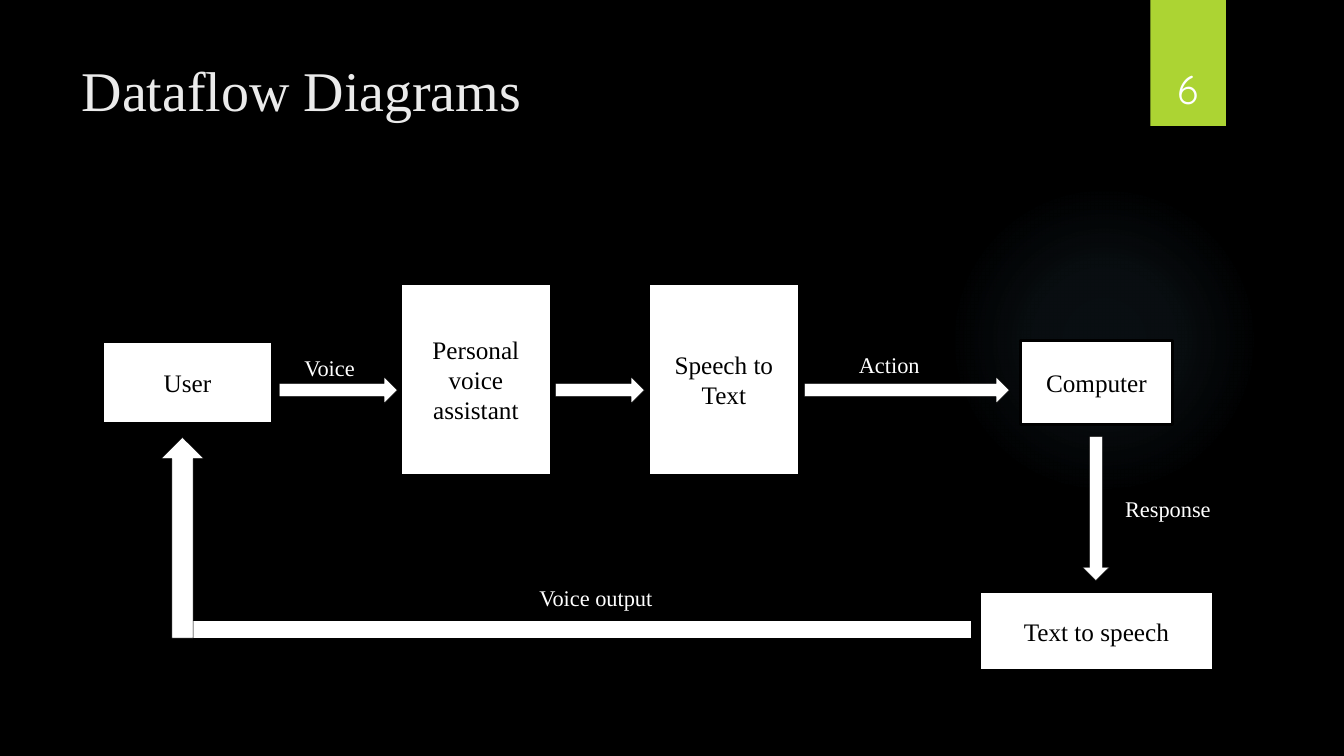
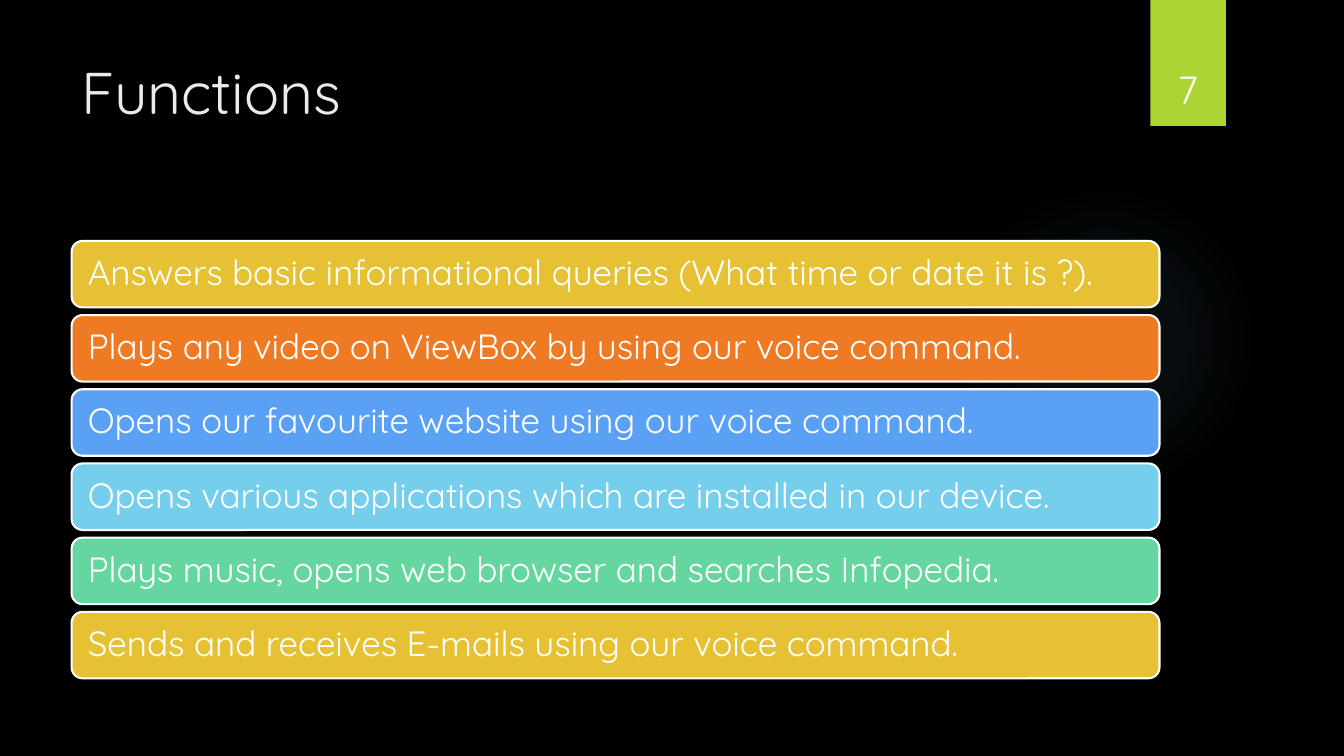
from lxml.etree import SubElement
from pptx import Presentation
from pptx.dml.color import RGBColor
from pptx.enum.shapes import MSO_SHAPE
from pptx.enum.text import MSO_ANCHOR, MSO_AUTO_SIZE, PP_ALIGN
from pptx.oxml.ns import qn
from pptx.util import Inches, Pt

COLORS = {
    "black": "000000", "white": "FFFFFF", "title": "EBEBEB", "band": "ACD433",
    "glow": "7AC4F0", "gold": "E6C133", "orange": "EF7A24", "blue": "5AA0F5",
    "sky": "75CEEC", "green": "65D6A0",
}
SERIF = "Times New Roman"
SANS = "Quicksand"
GLOW_STOPS = ((0, 7), (36, 6), (69, 0), (100, 0))  # position %, opacity %


def color(name):
    return RGBColor.from_string(COLORS[name])


class Deck:
    def __init__(self):
        self.prs = Presentation()
        self.prs.slide_width, self.prs.slide_height = Inches(13.33), Inches(7.5)
        background = self.prs.slide_master.background.fill
        background.solid()
        background.fore_color.rgb = color("black")
        self.slide = None

    def start_slide(self, title, number, font, size, height):
        self.slide = self.prs.slides.add_slide(self.prs.slide_layouts[5])
        self.glow(9.41, 1.83, 3.08)
        self.shape(MSO_SHAPE.RECTANGLE, (11.41, 0, 0.75, 1.25), "band")
        heading = self.slide.shapes.title
        place = {"left": 0.71, "top": 0.5, "width": 10.29, "height": height}
        for attribute, value in place.items():
            setattr(heading, attribute, Inches(value))
        self.set_text(heading, title, font, size, "title", anchor=MSO_ANCHOR.TOP)
        self.text((11.32, 0.32, 0.92, 0.84), str(number), SANS, 28,
                  align=PP_ALIGN.CENTER, anchor=MSO_ANCHOR.BOTTOM)

    def set_text(self, target, text, font, size, ink, align=PP_ALIGN.LEFT,
                 anchor=MSO_ANCHOR.MIDDLE, spacing=1.0, margin=0.1):
        frame = target.text_frame
        frame.text = text
        paragraph = frame.paragraphs[0]
        formats = (
            (frame, {"word_wrap": True, "auto_size": MSO_AUTO_SIZE.NONE,
                     "vertical_anchor": anchor, "margin_left": Inches(margin)}),
            (paragraph, {"alignment": align, "line_spacing": spacing}),
            (paragraph.runs[0].font, {"name": font, "size": Pt(size)}),
        )
        for item, values in formats:
            for attribute, value in values.items():
                setattr(item, attribute, value)
        paragraph.runs[0].font.color.rgb = color(ink)

    def shape(self, kind, place, fill, line=None, weight=0.25):
        shape = self.slide.shapes.add_shape(kind, *map(Inches, place))
        shape.shadow.inherit = False
        shape.fill.solid()
        shape.fill.fore_color.rgb = color(fill)
        if line:
            shape.line.color.rgb = color(line)
            shape.line.width = Pt(weight)
        else:
            shape.line.fill.background()
        return shape

    def glow(self, left, top, diameter):
        """Draw a circle whose faint colour fades out from its centre."""
        circle = self.shape(MSO_SHAPE.OVAL, (left, top, diameter, diameter), "glow")
        properties = circle.element.spPr
        solid = properties.find(qn("a:solidFill"))
        gradient = SubElement(properties, qn("a:gradFill"), rotWithShape="1")
        properties.replace(solid, gradient)
        stops = SubElement(gradient, qn("a:gsLst"))
        for position, opacity in GLOW_STOPS:
            stop = SubElement(stops, qn("a:gs"), pos=str(position * 1000))
            tint = SubElement(stop, qn("a:srgbClr"), val=COLORS["glow"])
            SubElement(tint, qn("a:alpha"), val=str(opacity * 1000))
        radial = SubElement(gradient, qn("a:path"), {"path": "circle"})
        SubElement(radial, qn("a:fillToRect"), dict.fromkeys("ltrb", "50000"))

    def text(self, place, text, font, size, **layout):
        box = self.slide.shapes.add_textbox(*map(Inches, place))
        self.set_text(box, text, font, size, "white", **layout)

    def process(self, place, text, border=2.25):
        box = self.shape(MSO_SHAPE.RECTANGLE, place, "white", "black", border)
        self.set_text(box, text, SERIF, 18, "black", align=PP_ALIGN.CENTER)

    def flow(self, kind, place):
        self.shape(kind, place, "white", "black")

    def flow_label(self, left, top, width, text):
        self.text((left, top, width, 0.37), text, SERIF, 16, anchor=MSO_ANCHOR.TOP)

    def feature(self, place, text, fill):
        bar = self.shape(MSO_SHAPE.ROUNDED_RECTANGLE, place, fill, "white", 1.5)
        self.set_text(bar, text, SANS, 25, "white", spacing=0.9, margin=0.13)


def dataflow_slide(deck):
    deck.start_slide("Dataflow Diagrams", 6, SERIF, 40, 1.09)
    deck.process((1.01, 3.38, 1.7, 0.83), "User", border=3)
    for place, step in (
        ((3.97, 2.81, 1.5, 1.91), "Personal voice assistant"),
        ((6.43, 2.81, 1.5, 1.91), "Speech to Text"),
        ((10.12, 3.38, 1.51, 0.83), "Computer"),
        ((9.71, 5.87, 2.33, 0.78), "Text to speech"),
    ):
        deck.process(place, step)
    for left, length in ((2.77, 1.17), (5.51, 0.88), (7.98, 2.03)):
        deck.flow(MSO_SHAPE.RIGHT_ARROW, (left, 3.74, length, 0.26))
    deck.flow(MSO_SHAPE.DOWN_ARROW, (10.74, 4.33, 0.26, 1.43))
    deck.flow(MSO_SHAPE.MATH_MINUS, (0.28, 5.85, 10.78, 0.78))
    deck.flow(MSO_SHAPE.UP_ARROW, (1.6, 4.34, 0.42, 1.99))
    for label in (
        (2.92, 3.46, 1.02, "Voice"),
        (8.42, 3.43, 1.45, "Action"),
        (11.06, 4.86, 1.55, "Response"),
        (5.25, 5.75, 2.58, "Voice output"),
    ):
        deck.flow_label(*label)


def functions_slide(deck):
    deck.start_slide("Functions", 7, SANS, 42, 1.53)
    features = (
        ("Answers basic informational queries (What time or date it is ?).", "gold"),
        ("Plays any video on ViewBox by using our voice command.", "orange"),
        ("Opens our favourite website using our voice command.", "blue"),
        ("Opens various applications which are installed in our device.", "sky"),
        ("Plays music, opens web browser and searches Infopedia.", "green"),
        ("Sends and receives E-mails using our voice command.", "gold"),
    )
    first_top, last_top = 2.39, 6.07
    pitch = (last_top - first_top) / (len(features) - 1)
    for row, (text, fill) in enumerate(features):
        deck.feature((0.71, first_top + row * pitch, 10.79, 0.66), text, fill)


def main():
    deck = Deck()
    dataflow_slide(deck)
    functions_slide(deck)
    deck.prs.save("out.pptx")


if __name__ == "__main__":
    main()
